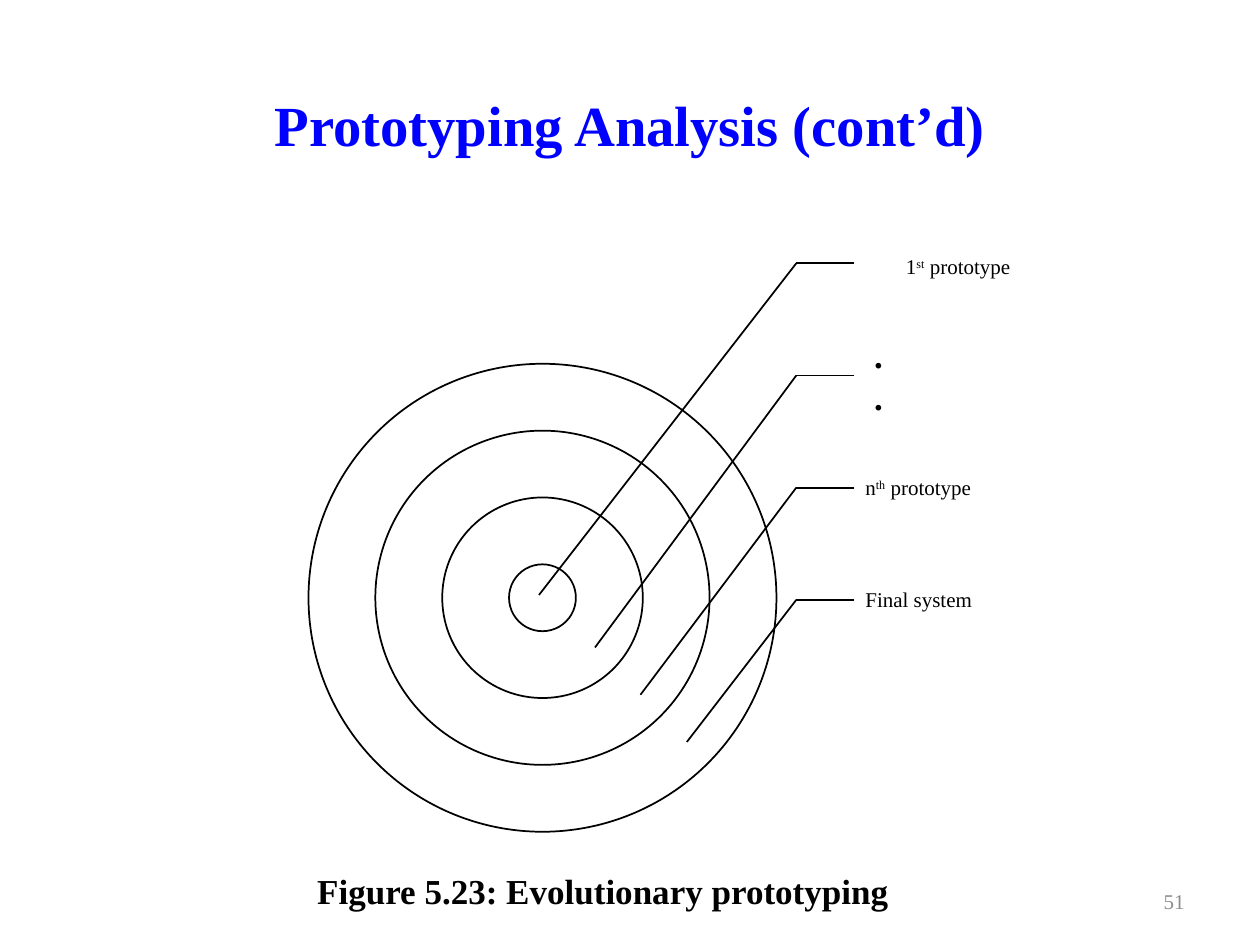
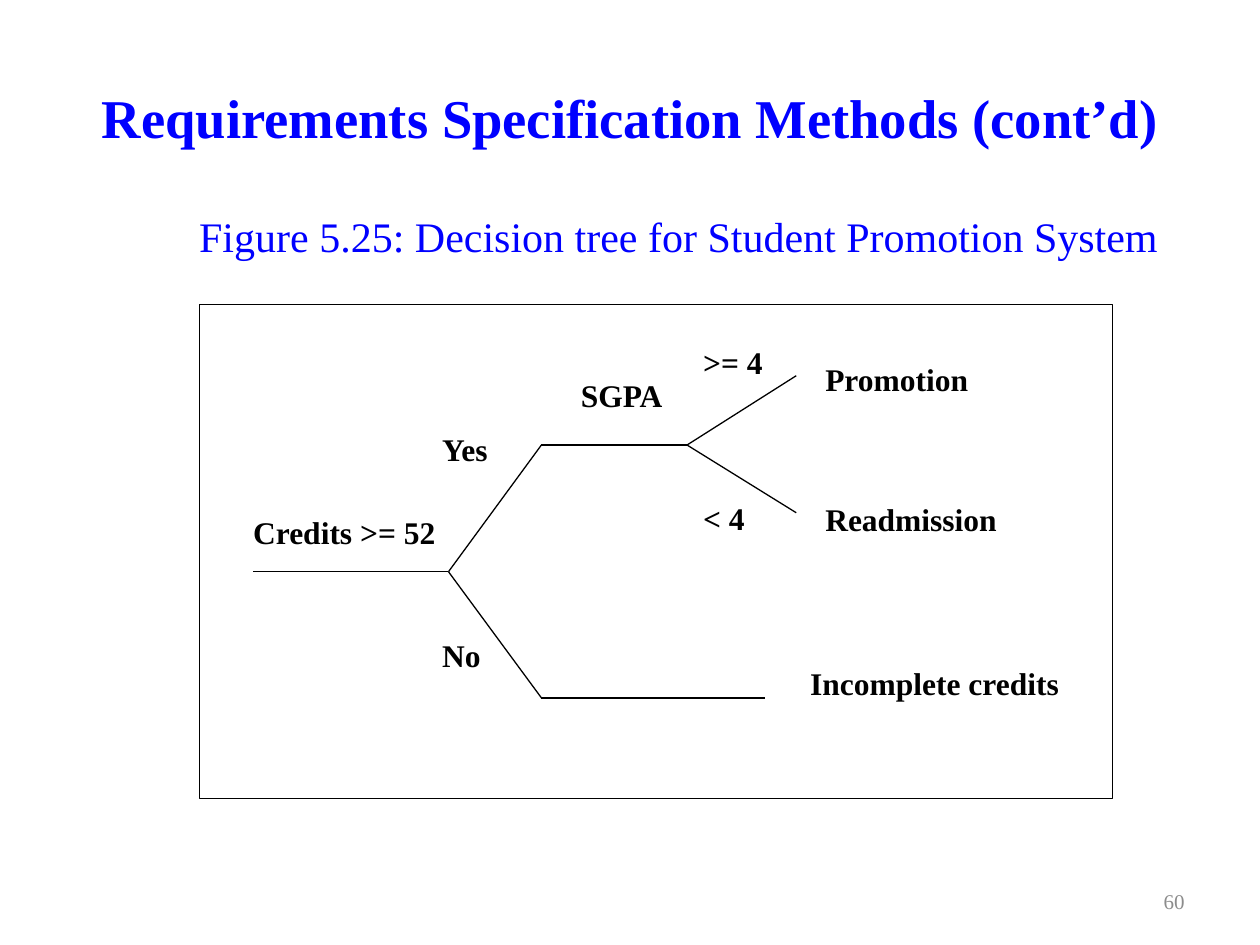
from pptx import Presentation
from pptx.dml.color import RGBColor
from pptx.enum.shapes import MSO_CONNECTOR, MSO_SHAPE
from pptx.enum.text import MSO_ANCHOR, MSO_AUTO_SIZE, PP_ALIGN
from pptx.oxml.ns import qn
from pptx.util import Pt
from lxml import etree

BLUE = RGBColor(0x00, 0x00, 0xFF)
BLACK = RGBColor(0x00, 0x00, 0x00)
WHITE = RGBColor(0xFF, 0xFF, 0xFF)
GREY = RGBColor(0x8C, 0x8C, 0x8C)
FONT = "Times New Roman"
STRAIGHT = MSO_CONNECTOR.STRAIGHT
OVAL, RECTANGLE = MSO_SHAPE.OVAL, MSO_SHAPE.RECTANGLE
TOP, MIDDLE = MSO_ANCHOR.TOP, MSO_ANCHOR.MIDDLE
LEFT, CENTER, RIGHT = PP_ALIGN.LEFT, PP_ALIGN.CENTER, PP_ALIGN.RIGHT
NO_AUTOSIZE = MSO_AUTO_SIZE.NONE

SLIDE_SIZE = (720, 540)
TITLE_BOX = (36, 21.6, 648, 90)
NUMBER_BOX = (516, 500.4, 168, 28.8)
TITLE_ONLY = 5
DEFAULT_INSETS = (7.2, 3.6, 7.2, 3.6)
NO_INSETS = (0, 0, 0, 0)
LEADER_INSETS = (6.5, 1.5, 1.5, 1.5)

PROTOTYPING = {"title": "Prototyping Analysis (cont’d)", "size": 32.4, "drop": 4, "number": "51"}
SPECIFICATION = {"title": "Requirements Specification Methods (cont’d)", "size": 31.2, "drop": 0, "number": "60"}

RING_CENTER = (310, 341.6)
CORE_DIAMETER = 38.2
RING_MULTIPLES = (7, 5, 3, 1)
ELBOW_X, LEADER_END_X = 455, 488
FIRST_LEADER_Y, LEADER_STEP = 150.5, 64.1
LEADER_TIPS = [(308, 340), (340, 370), (366, 397), (392.5, 424)]
STAGES = [
    ([[("1", 0), ("st", 30), (" prototype", 0)]], (517.7, 134.6, 156, 35.3), NO_INSETS, {}),
    ([[(".", 0)], [(".", 0)]], (488, 170.6, 134, 87.8), (11.5, 2, 2, 2), {"size": Pt(20), "bold": True}),
    ([[("n", 0), ("th", 30), (" prototype", 0)]], (488, 256.3, 134, 44), LEADER_INSETS, {}),
    ([[("Final system", 0)]], (488, 310.3, 134, 64), LEADER_INSETS, {}),
]
RING_CAPTION = ("Figure 5.23: Evolutionary prototyping", (174.2, 493.2, 343.4, 31.7))

TREE_CAPTION = ("Figure 5.25: Decision tree for Student Promotion System", (113.8, 120.2, 581.8, 30.2))
TREE_FRAME = (113.8, 174.2, 522, 282.2)
NODES = {
    "start": (144.7, 326.7),
    "credits": (256.3, 326.7),
    "yes": (309.4, 254.3),
    "no": (309.4, 398.8),
    "sgpa": (392.6, 254.3),
    "promotion": (455, 214.7),
    "readmission": (455, 293),
    "incomplete": (437.2, 398.8),
}
BRANCHES = [
    ("start", "credits"), ("credits", "yes"), ("credits", "no"), ("yes", "sgpa"),
    ("sgpa", "promotion"), ("sgpa", "readmission"), ("no", "incomplete"),
]
BRANCH_LABELS = [
    ("Credits >= 52", (144.7, 293, 108, 26)),
    ("Yes", (252.7, 245.5, 35.3, 26)),
    ("No", (252.7, 363.6, 27.4, 26)),
    ("SGPA", (331.9, 214.6, 61.2, 26)),
    ("Promotion", (471.6, 205.9, 95, 34.6)),
    ("Readmission", (471.6, 285.8, 123.8, 26)),
    ("Incomplete credits", (463, 379.4, 148.3, 26)),
    ("< 4", (401.8, 285.1, 35.3, 26)),
    (">= 4", (401.8, 195.8, 41, 18.7)),
]


def set_values(target, values):
    for attribute, value in values.items():
        setattr(target, attribute, value)


def format_font(font, color, values):
    set_values(font, {"name": FONT, **values})
    font.color.rgb = color


def place(shape, box):
    set_values(shape, dict(zip(("left", "top", "width", "height"), map(Pt, box))))


def format_frame(frame, insets=DEFAULT_INSETS, anchor=TOP, wrap=True):
    margins = ("margin_left", "margin_top", "margin_right", "margin_bottom")
    set_values(frame, {
        **dict(zip(margins, map(Pt, insets))),
        "auto_size": NO_AUTOSIZE, "word_wrap": wrap, "vertical_anchor": anchor,
    })


def add_text(slide, paragraphs, box, color, font, align=LEFT, **frame_options):
    label = slide.shapes.add_textbox(*map(Pt, box))
    format_frame(label.text_frame, **frame_options)
    for index, pieces in enumerate(paragraphs):
        paragraph = label.text_frame.paragraphs[0] if index == 0 else label.text_frame.add_paragraph()
        paragraph.alignment = align
        for words, baseline in pieces:
            run = paragraph.add_run()
            run.text = words
            format_font(run.font, color, font)
            if baseline:
                run._r.get_or_add_rPr().set("baseline", str(baseline * 1000))
    return label


def add_line(slide, start, end, width):
    line = slide.shapes.add_connector(STRAIGHT, *map(Pt, (*start, *end)))
    line.line.color.rgb = BLACK
    line.line.width = Pt(width)
    etree.SubElement(line._element.spPr, qn("a:effectLst"))


def add_outline(slide, kind, box, width):
    outline = slide.shapes.add_shape(kind, *map(Pt, box))
    outline.shadow.inherit = False
    outline.line.color.rgb = BLACK
    outline.line.width = Pt(width)
    return outline


def add_slide(deck, heading):
    slide = deck.slides.add_slide(deck.slide_layouts[TITLE_ONLY])
    title = slide.shapes.title
    left, top, width, height = TITLE_BOX
    place(title, (left, top + heading["drop"], width, height))
    format_frame(title.text_frame, anchor=MIDDLE)
    title.text_frame.text = heading["title"]
    paragraph = title.text_frame.paragraphs[0]
    paragraph.alignment = CENTER
    format_font(paragraph.runs[0].font, BLUE, {"size": Pt(heading["size"]), "bold": True})
    add_text(slide, [[(heading["number"], 0)]], NUMBER_BOX, GREY, {"size": Pt(12)}, RIGHT, anchor=MIDDLE)
    return slide


def draw_prototype_rings(slide):
    center_x, center_y = RING_CENTER
    for multiple in RING_MULTIPLES:
        diameter = CORE_DIAMETER * multiple
        box = (center_x - diameter / 2, center_y - diameter / 2, diameter, diameter)
        ring = add_outline(slide, OVAL, box, 1)
        ring.fill.solid()
        ring.fill.fore_color.rgb = WHITE
    for index, (tip, stage) in enumerate(zip(LEADER_TIPS, STAGES)):
        leader_y = FIRST_LEADER_Y + LEADER_STEP * index
        elbow = (ELBOW_X, leader_y)
        add_line(slide, elbow, (LEADER_END_X, leader_y), 1)
        add_line(slide, elbow, tip, 1)
        paragraphs, box, insets, font = stage
        add_text(slide, paragraphs, box, BLACK, {"size": Pt(12), **font}, insets=insets, anchor=MIDDLE)
    caption, box = RING_CAPTION
    add_text(slide, [[(caption, 0)]], box, BLACK, {"size": Pt(20), "bold": True}, wrap=False)


def draw_decision_tree(slide):
    caption, box = TREE_CAPTION
    add_text(slide, [[(caption, 0)]], box, BLUE, {"size": Pt(24)}, insets=NO_INSETS)
    add_outline(slide, RECTANGLE, TREE_FRAME, 0.75).fill.background()
    for start, end in BRANCHES:
        add_line(slide, NODES[start], NODES[end], 0.75)
    for words, box in BRANCH_LABELS:
        label = add_text(slide, [[(words, 0)]], box, BLACK, {"size": Pt(18), "bold": True}, insets=NO_INSETS)
        label.fill.solid()
        label.fill.fore_color.rgb = WHITE


def main():
    deck = Presentation()
    set_values(deck, dict(zip(("slide_width", "slide_height"), map(Pt, SLIDE_SIZE))))
    draw_prototype_rings(add_slide(deck, PROTOTYPING))
    draw_decision_tree(add_slide(deck, SPECIFICATION))
    deck.save("out.pptx")


if __name__ == "__main__":
    main()
